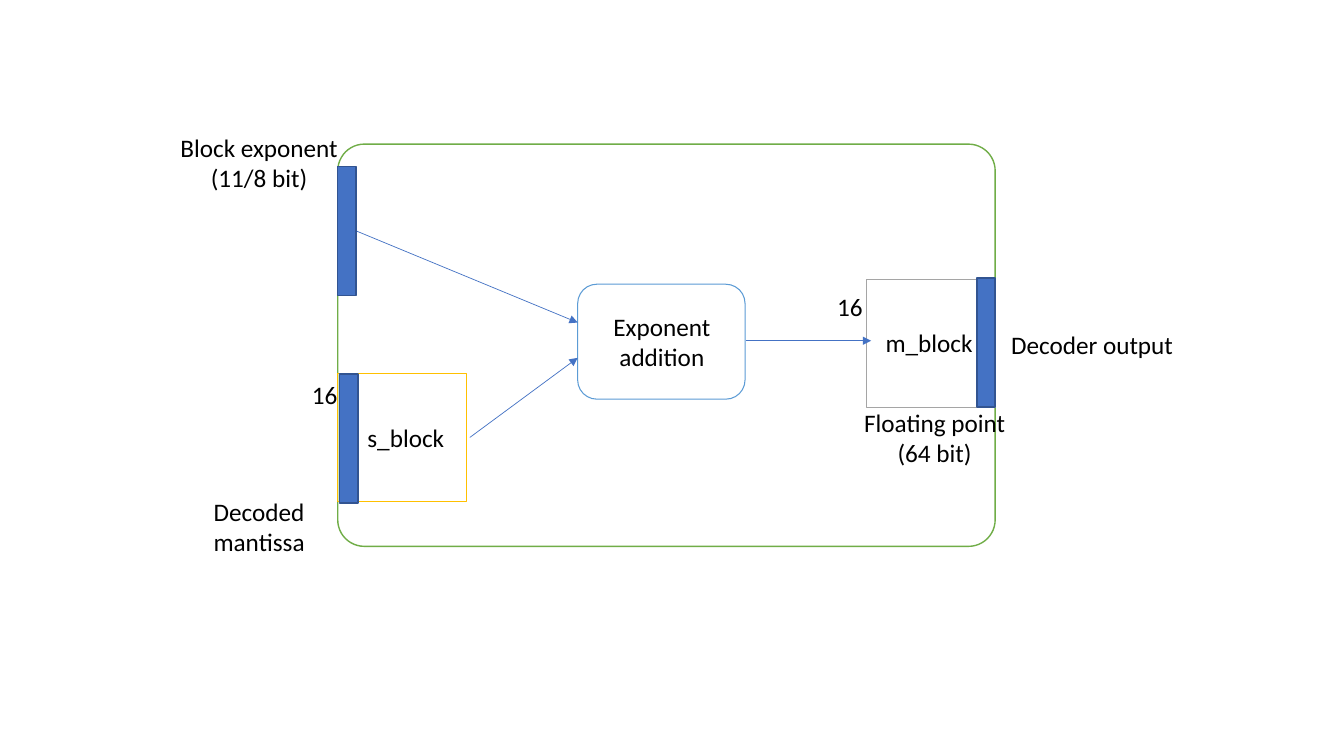
from lxml.etree import SubElement
from pptx import Presentation
from pptx.dml.color import RGBColor
from pptx.enum.shapes import MSO_CONNECTOR, MSO_SHAPE
from pptx.enum.text import MSO_AUTO_SIZE, PP_ALIGN
from pptx.oxml.ns import qn
from pptx.util import Inches, Pt

COLORS = {
    "text": "000000",
    "decoder": "70AD47",
    "port": "4472C4",
    "port_edge": "325491",
    "mantissa": "FFC000",
    "adder": "5B9BD5",
    "output": "A5A5A5",
    "background": "FFFFFF",
}


def color(name):
    """Return the named colour."""
    return RGBColor.from_string(COLORS[name])


def add_box(slide, left, top, width, height, edge, fill=None, weight=0.75, radius=None):
    """Draw an outlined block, rounded when a radius is given."""
    preset = MSO_SHAPE.RECTANGLE if radius is None else MSO_SHAPE.ROUNDED_RECTANGLE
    box = slide.shapes.add_shape(
        preset, Inches(left), Inches(top), Inches(width), Inches(height))
    if radius is not None:
        box.adjustments[0] = radius
    box.shadow.inherit = False
    if fill:
        box.fill.solid()
        box.fill.fore_color.rgb = color(fill)
    else:
        box.fill.background()
    box.line.color.rgb = color(edge)
    box.line.width = Pt(weight)


def add_port(slide, left, top):
    """Draw a solid port bar on the decoder border."""
    add_box(slide, left, top, 0.18, 1.28, "port_edge", fill="port", weight=1)


def add_label(slide, text, left, top, width, height=0.4, align=PP_ALIGN.CENTER,
              size=18, font="Calibri", ink="text"):
    """Write a wrapped label with one paragraph per line of text."""
    label = slide.shapes.add_textbox(
        Inches(left), Inches(top), Inches(width), Inches(height))
    frame = label.text_frame
    frame.word_wrap = True
    frame.auto_size = MSO_AUTO_SIZE.SHAPE_TO_FIT_TEXT
    frame.text = text
    for paragraph in frame.paragraphs:
        paragraph.alignment = align
        for run in paragraph.runs:
            run.font.size = Pt(size)
            run.font.name = font
            run.font.color.rgb = color(ink)


def add_arrow(slide, start, end):
    """Draw a thin arrow from start to end."""
    arrow = slide.shapes.add_connector(
        MSO_CONNECTOR.STRAIGHT, *(Inches(value) for value in start + end))
    arrow.line.color.rgb = color("port")
    arrow.line.width = Pt(0.5)
    SubElement(arrow.line._get_or_add_ln(), qn("a:tailEnd"), type="triangle")
    SubElement(arrow._element.spPr, qn("a:effectLst"))


def main():
    """Build the decoder block diagram."""
    deck = Presentation()
    deck.slide_width, deck.slide_height = Inches(13.33), Inches(7.5)
    slide = deck.slides.add_slide(deck.slide_layouts[6])

    add_box(slide, 3.35, 1.43, 6.52, 3.99, "decoder", fill="background",
            weight=1, radius=0.066)
    add_box(slide, 3.35, 3.71, 1.28, 1.27, "mantissa")
    add_box(slide, 5.73, 2.82, 1.66, 1.14, "adder", radius=0.1667)
    add_box(slide, 8.59, 2.77, 1.28, 1.27, "output")

    for start, end in (
        ((4.66, 4.34), (5.73, 3.55)),
        ((3.53, 2.29), (5.73, 3.2)),
        ((7.4, 3.38), (8.64, 3.38)),
    ):
        add_arrow(slide, start, end)

    for left, top in ((3.35, 1.65), (3.37, 3.71), (9.69, 2.76)):
        add_port(slide, left, top)

    for text, left, top, width in (
        ("16", 2.97, 3.71, 0.5),
        ("s_block", 3.39, 4.14, 1.27),
        ("16", 8.18, 2.84, 0.5),
        ("m_block", 8.58, 3.2, 1.27),
    ):
        add_label(slide, text, left, top, width)

    for text, left, top, width in (
        ("Exponent addition", 5.63, 3.04, 1.87),
        ("Block exponent\n(11/8 bit)", 1.65, 1.26, 1.84),
        ("Decoded mantissa", 1.65, 4.87, 1.84),
        ("Floating point (64 bit)", 8.35, 3.99, 1.84),
    ):
        add_label(slide, text, left, top, width, height=0.71)

    add_label(slide, "Decoder output", 9.93, 3.22, 1.99, align=PP_ALIGN.LEFT)
    deck.save("out.pptx")


main()
